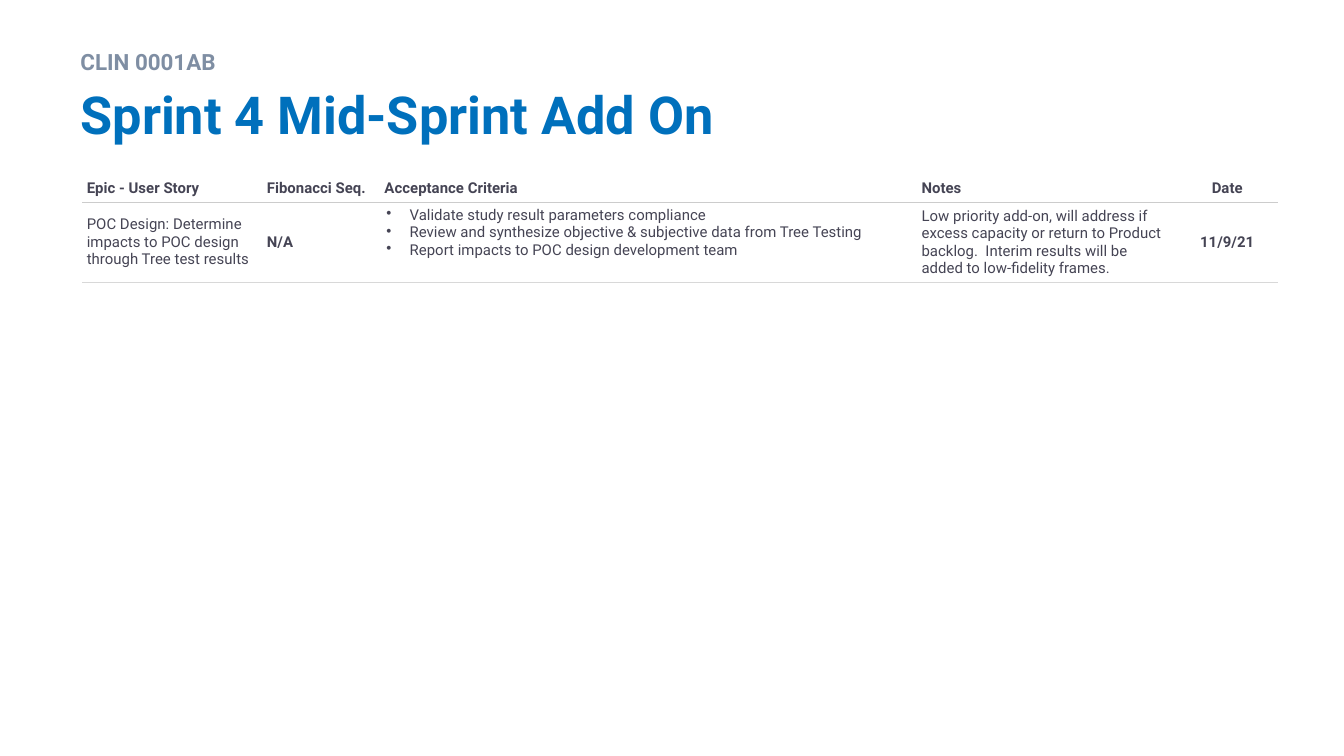
from lxml import etree
from pptx import Presentation
from pptx.dml.color import RGBColor
from pptx.enum import text
from pptx.oxml import ns
from pptx.util import Pt

COLORS = {
    "eyebrow": "7F8EA3",
    "title": "0070BC",
    "body": "454454",
    "white": "FFFFFF",
    "header_rule": "CCCCCC",
    "row_rule": "D8D8D8",
}


def format_paragraph(paragraph, size, color, bold):
    for run in paragraph.runs:
        run.font.name = "Roboto"
        run.font.size = Pt(size)
        run.font.bold = bold
        run.font.color.rgb = RGBColor.from_string(COLORS[color])


def add_element(parent, tag, **attributes):
    return etree.SubElement(parent, ns.qn(tag), attributes)


presentation = Presentation()
presentation.slide_width = Pt(720)
presentation.slide_height = Pt(405)
slide = presentation.slides.add_slide(presentation.slide_layouts[5])

# Contract line above the title
eyebrow = slide.shapes.add_textbox(Pt(36), Pt(19.5), Pt(648), Pt(21))
eyebrow.text_frame.word_wrap = True
eyebrow.text_frame.text = "CLIN 0001AB"
eyebrow.text_frame.paragraphs[0].line_spacing = 1.2
format_paragraph(eyebrow.text_frame.paragraphs[0], 12, "eyebrow", True)

# Title
title = slide.shapes.title
title.left, title.top, title.width, title.height = Pt(36), Pt(40.5), Pt(648), Pt(49.5)
title.text_frame.text = "Sprint 4 Mid-Sprint Add On"
title.text_frame.vertical_anchor = text.MSO_ANCHOR.TOP
title.text_frame.paragraphs[0].alignment = text.PP_ALIGN.LEFT
format_paragraph(title.text_frame.paragraphs[0], 28, "title", True)

# Table: heading, content, content is bold
columns = [
    ("Epic - User Story",
     "POC Design: Determine impacts to POC design through Tree test results", False),
    ("Fibonacci Seq.", "N/A", True),
    ("Acceptance Criteria",
     "Validate study result parameters compliance\n"
     "Review and synthesize objective & subjective data from Tree Testing\n"
     "Report impacts to POC design development team", False),
    ("Notes",
     "Low priority add-on, will address if excess capacity or return to Product "
     "backlog.  Interim results will be added to low-fidelity frames.", False),
    ("Date", "11/9/21", True),
]
widths = [96.5, 63, 287.75, 139, 54]
heights = [13.75, 41.75]
table = slide.shapes.add_table(
    2, len(columns), Pt(44.25), Pt(94.25), Pt(sum(widths)), Pt(sum(heights))).table
for column, width in zip(table.columns, widths):
    column.width = Pt(width)
for row, height in zip(table.rows, heights):
    row.height = Pt(height)

for column_index, (heading, content, bold) in enumerate(columns):
    for row_index, words in enumerate((heading, content)):
        cell = table.cell(row_index, column_index)
        is_header = row_index == 0
        is_list = "\n" in words
        cell.text_frame.text = words
        cell.margin_left = cell.margin_right = Pt(2.25)
        cell.margin_top = cell.margin_bottom = Pt(2.25)
        if not is_header and not is_list:
            cell.vertical_anchor = text.MSO_ANCHOR.MIDDLE

        for paragraph in cell.text_frame.paragraphs:
            if is_list:
                properties = paragraph._p.get_or_add_pPr()
                properties.set("marL", str(Pt(13.5)))
                properties.set("indent", str(Pt(-12.5)))
                bullet_color = add_element(properties, "a:buClr")
                add_element(bullet_color, "a:srgbClr", val=COLORS["body"])
                add_element(properties, "a:buChar", char="•")
            if heading == "Date":
                paragraph.alignment = text.PP_ALIGN.CENTER
            format_paragraph(paragraph, 8, "body", is_header or bold)

        # Borders go before the fill in the cell properties
        borders = {
            "a:lnL": "white",
            "a:lnR": "white",
            "a:lnT": "white" if is_header else "header_rule",
            "a:lnB": "header_rule" if is_header else "row_rule",
        }
        for tag, color in borders.items():
            line = add_element(cell._tc.get_or_add_tcPr(), tag, w=str(Pt(0.75)))
            line_fill = add_element(line, "a:solidFill")
            add_element(line_fill, "a:srgbClr", val=COLORS[color])
        if is_header:
            cell.fill.solid()
            cell.fill.fore_color.rgb = RGBColor.from_string(COLORS["white"])
        else:
            cell.fill.background()

presentation.save("out.pptx")
